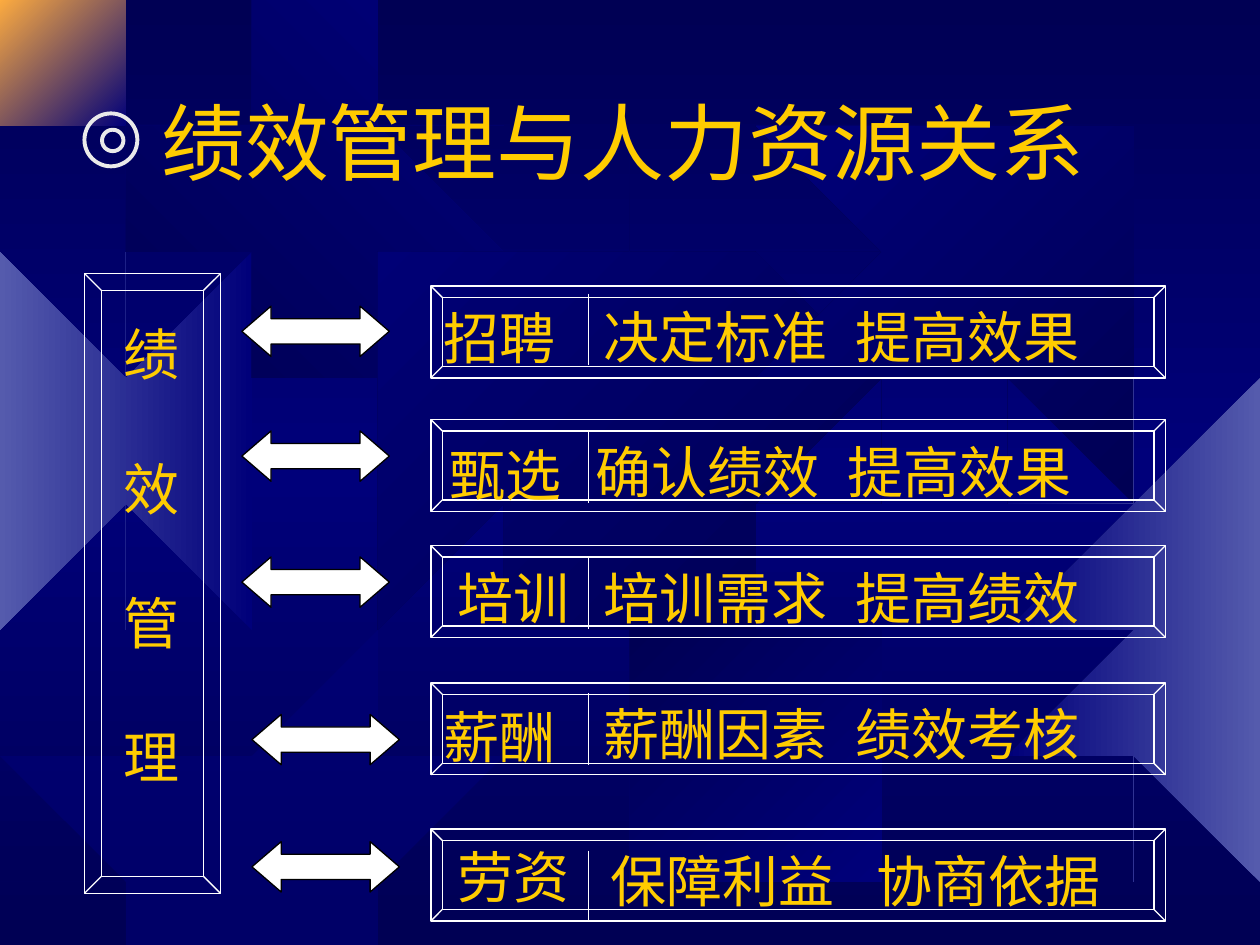
from copy import deepcopy
from pptx import Presentation
from pptx.dml.color import RGBColor
from pptx.enum.shapes import MSO_CONNECTOR, MSO_SHAPE
from pptx.oxml.ns import qn
from pptx.util import Inches, Pt
from lxml.etree import SubElement

NAVY, BLUE, LILAC, ORANGE = "000054", "00007A", "555BAD", "FCAB40"
GOLD, WHITE, BLACK, RING = "FFCC00", "FFFFFF", "000000", "EAEAEA"
FONT = "Times New Roman"
TITLE = "绩效管理与人力资源关系"
PILLAR = "绩效管理"

# left, top, full size, stops, angle
GEARS = [
    (-0.49, 2.01, 2.96, (BLUE, LILAC), 180),
    (0.12, 0.02, (0.92, 0.86), (BLUE, ORANGE), 135),
    (1.3, 0.39, 2.48, (BLUE, NAVY), 225),
    (2.77, 1.39, 4.01, (NAVY, BLUE), 135),
    (0, 5.25, 3.74, None, None),
    (4.91, 4.84, 2.48, (BLUE, NAVY), 135),
    (6.18, 0.53, 3.2, (NAVY, BLUE), 135),
    (7.82, 2.8, 4.37, (LILAC, BLUE), 180),
]
GEAR_SPAN = 4.01
GEAR_OUTLINE = [
    (2.55, 0.67), (2.23, 0.59), (2.19, 0), (1.8, 0.03), (1.77, 0.59), (1.51, 0.68),
    (1.13, 0.2), (0.87, 0.35), (1.12, 0.88), (0.94, 1.06), (0.38, 0.85), (0.25, 1.07),
    (0.68, 1.45), (0.61, 1.74), (0.01, 1.78), (0, 2.1), (0.61, 2.19), (0.67, 2.46),
    (0.22, 2.87), (0.38, 3.12), (0.88, 2.88), (1.07, 3.07), (0.81, 3.55), (1.06, 3.75),
    (1.51, 3.32), (1.77, 3.4), (1.83, 4), (2.22, 4.01), (2.26, 3.39), (2.59, 3.3),
    (2.99, 3.74), (3.25, 3.58), (2.99, 3.06), (3.16, 2.84), (3.68, 3.09), (3.84, 2.81),
    (3.36, 2.46), (3.42, 2.16), (4.01, 2.1), (4, 1.8), (3.41, 1.71), (3.35, 1.48),
    (3.83, 1.14), (3.67, 0.87), (3.13, 1.09), (2.96, 0.91), (3.23, 0.41), (2.97, 0.25),
]
GEAR_LIMITS = [(0, -0.01, 1), (0, 10.01, -1), (1, 7.54, -1)]

# bevel top, arrow left, arrow top, divider top, label, label left, label top, texts, text left, text top, tab
ROWS = [
    (2.27, 1.92, 2.43, 2.33, "招聘", 3.42, 2.36, ("决定标准", "提高效果"), 4.69, 2.35, 2),
    (3.33, 1.92, 3.42, 3.42, "甄选", 3.47, 3.45, ("确认绩效", "提高效果"), 4.63, 3.42, 2),
    (4.33, 1.92, 4.42, 4.42, "培训", 3.53, 4.42, ("培训需求", "提高绩效"), 4.69, 4.42, 2),
    (5.42, 2, 5.67, 5.5, "薪酬", 3.42, 5.53, ("薪酬因素", "绩效考核"), 4.69, 5.5, 2),
    (6.58, 2, 6.68, 6.75, "劳资", 3.53, 6.64, ("保障利益", "协商依据"), 4.75, 6.67, 2.11),
]


def color(value):
    return RGBColor.from_string(value)


def set_gradient(fill, colors, angle):
    fill.gradient()
    fill.gradient_angle = angle
    for stop, value in zip(fill.gradient_stops, colors):
        stop.color.rgb = color(value)


def clip(points, axis, limit, side):
    kept = []
    for start, end in zip(points[-1:] + points[:-1], points):
        before, after = (side * (point[axis] - limit) for point in (start, end))
        if (before >= 0) != (after >= 0):
            share = before / (before - after)
            kept.append(tuple(a + share * (b - a) for a, b in zip(start, end)))
        if after >= 0:
            kept.append(end)
    return kept


def add_gear(slide, left, top, size, colors, angle):
    width, height = size if isinstance(size, tuple) else (size, size)
    points = [(left + x * width / GEAR_SPAN, top + y * height / GEAR_SPAN) for x, y in GEAR_OUTLINE]
    for limit in GEAR_LIMITS:
        points = clip(points, *limit)
    builder = slide.shapes.build_freeform(*points[0], scale=Inches(1))
    builder.add_line_segments(points[1:], close=True)
    gear = builder.convert_to_shape()
    gear.shadow.inherit = False
    gear.line.fill.background()
    if colors:
        set_gradient(gear.fill, colors, angle)
    else:
        gear.fill.solid()
        gear.fill.fore_color.rgb = color(BLUE)
        rgb = gear.element.spPr.find(qn("a:solidFill")).find(qn("a:srgbClr"))
        SubElement(rgb, qn("a:alpha"), val="50000")


def add_shape(slide, kind, left, top, width, height, line, weight=0.75, fill=None):
    shape = slide.shapes.add_shape(kind, Inches(left), Inches(top), Inches(width), Inches(height))
    shape.shadow.inherit = False
    shape.line.color.rgb = color(line)
    shape.line.width = Pt(weight)
    if fill:
        shape.fill.solid()
        shape.fill.fore_color.rgb = color(fill)
    else:
        shape.fill.background()
    return shape


def add_text(slide, left, top, width, height, lines, size=32, gap=0, tab=None):
    box = slide.shapes.add_textbox(Inches(left), Inches(top), Inches(width), Inches(height))
    frame = box.text_frame
    frame.word_wrap = True
    frame.text = "\n".join(lines)
    for index, paragraph in enumerate(frame.paragraphs):
        if tab:
            tabs = SubElement(paragraph._p.get_or_add_pPr(), qn("a:tabLst"))
            SubElement(tabs, qn("a:tab"), pos=str(Inches(tab)), algn="l")
        if index:
            paragraph.space_before = Pt(gap)
        paragraph.font.size = Pt(size)
        paragraph.font.name = FONT
        paragraph.font.color.rgb = color(GOLD)


def add_divider(slide, x, top, length):
    line = slide.shapes.add_connector(
        MSO_CONNECTOR.STRAIGHT, Inches(x), Inches(top), Inches(x), Inches(top + length))
    line.line.color.rgb = color(WHITE)
    line.line.width = Pt(0.75)
    SubElement(line.element.spPr, qn("a:effectLst"))


def set_background(slide):
    fill = slide.background.fill
    set_gradient(fill, (NAVY, NAVY), 270)
    stops = slide.element.find(".//" + qn("a:gsLst"))
    stops.insert(1, deepcopy(stops[0]))
    middle = fill.gradient_stops[1]
    middle.position = 0.5
    middle.color.rgb = color(BLUE)


def main():
    presentation = Presentation()
    presentation.slide_width, presentation.slide_height = Inches(10), Inches(7.5)
    slide = presentation.slides.add_slide(presentation.slide_layouts[6])
    set_background(slide)
    for gear in GEARS:
        add_gear(slide, *gear)
    add_text(slide, 1.18, 0.67, 7.9, 0.9, [TITLE], size=48)
    for left, top, size in [(0.67, 0.9, 0.42), (0.81, 1.03, 0.17)]:
        add_shape(slide, MSO_SHAPE.OVAL, left, top, size, size, RING, 2.25)
    add_shape(slide, MSO_SHAPE.BEVEL, 0.67, 2.17, 1.08, 4.92, WHITE)
    add_text(slide, 0.88, 2.49, 0.66, 3.84, PILLAR, gap=38.3)
    for (bevel_top, arrow_left, arrow_top, divider_top, label, label_left, label_top,
         texts, text_left, text_top, tab) in ROWS:
        arrow = add_shape(slide, MSO_SHAPE.LEFT_RIGHT_ARROW, arrow_left, arrow_top, 1.17, 0.4,
                          BLACK, fill=WHITE)
        arrow.adjustments[1] = 0.58
        add_shape(slide, MSO_SHAPE.BEVEL, 3.42, bevel_top, 5.83, 0.73, WHITE)
        add_divider(slide, 4.67, divider_top, 0.57)
        add_text(slide, label_left, label_top, 1.12, 0.64, [label])
        add_text(slide, text_left, text_top, 4.2, 0.64, ["\t".join(texts)], tab=tab)
    presentation.save("out.pptx")


if __name__ == "__main__":
    main()
